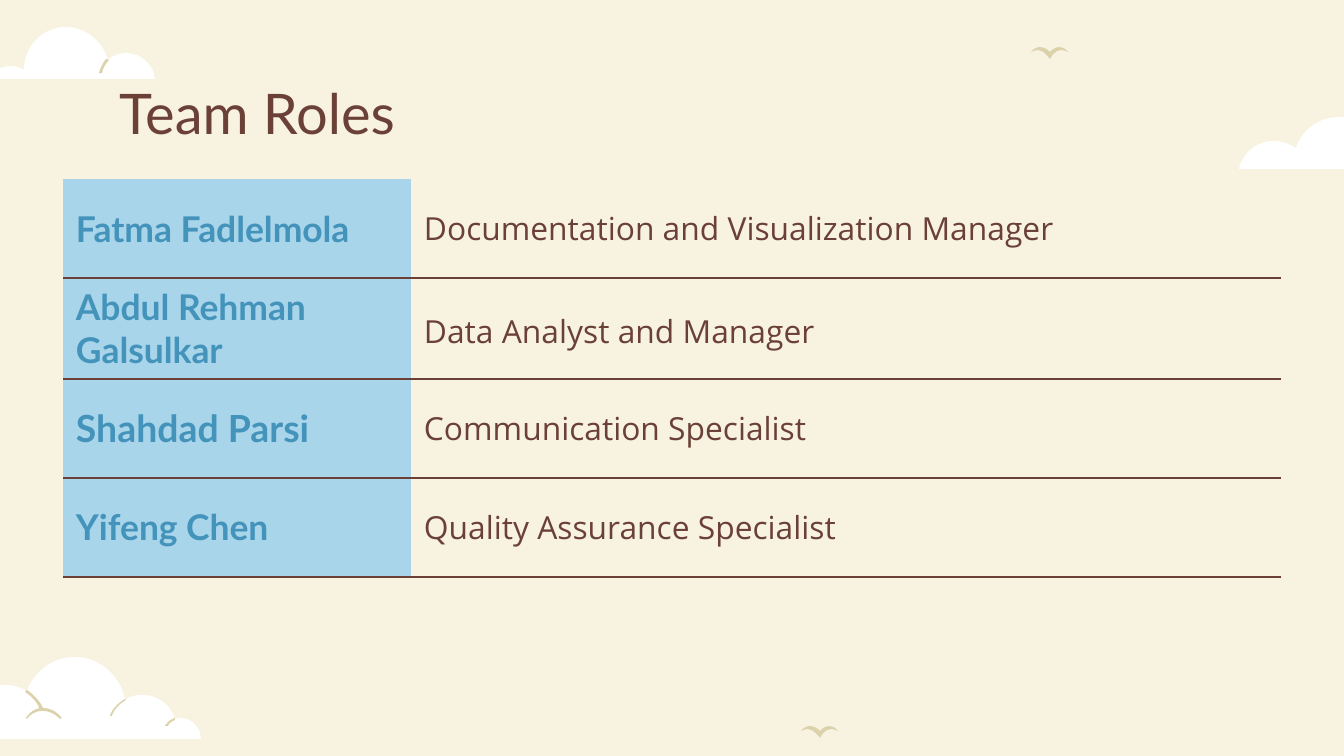
from lxml.etree import SubElement
from pptx import Presentation
from pptx.dml.color import RGBColor
from pptx.enum.text import MSO_ANCHOR, PP_ALIGN
from pptx.oxml.ns import qn
from pptx.util import Pt

PX = 914400 / 134.4
WIDTH, HEIGHT = 1344, 756

CREAM = RGBColor(0xF8, 0xF3, 0xE1)
WHITE = RGBColor(0xFF, 0xFF, 0xFF)
SAND = RGBColor(0xDB, 0xD2, 0xAC)
BROWN = RGBColor(0x6B, 0x40, 0x36)
SKY = RGBColor(0xA9, 0xD5, 0xEB)
BLUE = RGBColor(0x43, 0x93, 0xBA)

TITLE = "Team Roles"
# name, name size, role, role line spacing, space after, row height
ROLES = [
    ("Fatma Fadlelmola", 19, "Documentation and Visualization Manager", 1, 16, 99),
    ("Abdul Rehman Galsulkar", 19, "Data Analyst and Manager", 1.15, 12, 101),
    ("Shahdad Parsi", 20, "Communication Specialist", 1, 16, 99),
    ("Yifeng Chen", 19, "Quality Assurance Specialist", 1, 16, 99),
]
TABLE_LEFT, TABLE_TOP = 63, 179
COLUMNS = (348, 870)

# Outlines in px: a start point, then lines (x, y) and cubic curves (six numbers)
BIRD = [(9, 0), (7, 0, 3, 1, 0, 5), (3, 4, 4, 3, 7, 3), (13, 3, 19, 12, 19, 12),
        (19, 12, 23, 3, 30, 3), (32, 3, 35, 4, 37, 5), (34, 1, 31, 0, 28, 0),
        (23, 0, 19, 5, 19, 5), (19, 5, 15, 0, 9, 0)]
BIRD_PLACES = [(1031, 47), (801, 726)]
CLOUDS = [
    # top left
    [(66, 27), (43, 27, 24, 46, 24, 69), (24, 70), (20, 67, 16, 66, 11, 66),
     (1, 66, -7, 71, -11, 79), (155, 79), (154, 65, 141, 53, 126, 53),
     (120, 53, 113, 55, 108, 60), (103, 42, 86, 27, 66, 27)],
    # bottom left
    [(75, 657), (52, 657, 34, 672, 27, 691), (20, 687, 13, 685, 5, 685),
     (-13, 685, -30, 700, -32, 719), (-35, 719), (-47, 719, -56, 727, -56, 739),
     (201, 739), (200, 727, 192, 718, 180, 718), (179, 718, 176, 719, 175, 719),
     (171, 706, 159, 695, 142, 695), (136, 695, 130, 696, 125, 700),
     (121, 676, 99, 657, 75, 657)],
    # right
    [(1340, 117), (1318, 117, 1302, 130, 1296, 148), (1289, 144, 1282, 141, 1274, 141),
     (1257, 141, 1242, 153, 1239, 169), (1386, 169), (1387, 168, 1387, 165, 1387, 164),
     (1386, 138, 1365, 117, 1340, 117)],
]
CREASES = [
    [(106, 59), (106, 59, 101, 65, 99, 73), (102, 73), (103, 66, 109, 60, 109, 60)],
    [(27, 690), (25, 692), (25, 692, 37, 699, 40, 710), (43, 708),
     (39, 698, 27, 690, 27, 690)],
    [(125, 699), (113, 706, 110, 715, 110, 716), (112, 716),
     (112, 716, 114, 707, 126, 700)],
    [(175, 718), (168, 720, 165, 726, 165, 726), (168, 726),
     (168, 726, 169, 722, 175, 720)],
    [(43, 708), (35, 708, 30, 712, 26, 718), (27, 719), (31, 714, 36, 711, 42, 711),
     (50, 711, 55, 714, 60, 719), (62, 718), (56, 711, 50, 708, 43, 708)],
]


def px(n):
    return round(n * PX)


def add_outline(s, outline, color, left=0, top=0):
    points = [(px(seg[i] + left), px(seg[i + 1] + top))
              for seg in outline for i in range(0, len(seg), 2)]
    builder = s.shapes.build_freeform(*points[0])
    builder.add_line_segments(points[1:], close=False)
    sp = builder.convert_to_shape()

    # Merge the three points of each curve into one cubic segment
    path = next(sp._element.iter(qn("a:path")))
    lines = iter(path.findall(qn("a:lnTo")))
    for seg in outline[1:]:
        line = next(lines)
        if len(seg) == 6:
            line.addprevious(curve := line.makeelement(qn("a:cubicBezTo")))
            for part in (line, next(lines), next(lines)):
                curve.append(part[0])
                path.remove(part)
    SubElement(path, qn("a:close"))

    sp.shadow.inherit = False
    sp.fill.solid()
    sp.fill.fore_color.rgb = color
    sp.line.fill.background()


def style_font(p, name, size, color, bold=False):
    font = p.runs[0].font
    font.name, font.size, font.bold = name, Pt(size), bold
    font.color.rgb = color


def set_borders(cell, ruled):
    """Draw the sides in ruled and clear the others."""
    tcPr = cell._tc.get_or_add_tcPr()
    for i, side in enumerate("LRTB"):
        ln = SubElement(tcPr, qn(f"a:ln{side}"))
        if side in ruled:
            ln.set("w", str(Pt(1.5)))
            fill = SubElement(ln, qn("a:solidFill"))
            SubElement(fill, qn("a:srgbClr")).set("val", str(BROWN))
        else:
            SubElement(ln, qn("a:noFill"))
        tcPr.insert(i, ln)


def fill_cell(cell, text, name, size, color, bold=False):
    cell.text_frame.text = text
    cell.vertical_anchor = MSO_ANCHOR.MIDDLE
    cell.margin_left = cell.margin_right = px(13)
    cell.margin_top = cell.margin_bottom = 0
    p = cell.text_frame.paragraphs[0]
    style_font(p, name, size, color, bold)
    return p


prs = Presentation()
prs.slide_width, prs.slide_height = px(WIDTH), px(HEIGHT)
s = prs.slides.add_slide(prs.slide_layouts[5])
s.background.fill.solid()
s.background.fill.fore_color.rgb = CREAM

# Sky
for cloud in CLOUDS:
    add_outline(s, cloud, WHITE)
for crease in CREASES:
    add_outline(s, crease, SAND)
for left, top in BIRD_PLACES:
    add_outline(s, BIRD, SAND, left, top)

# Title
title = s.shapes.title
title.left, title.top, title.width, title.height = px(106), px(66), px(1133), px(85)
tf = title.text_frame
tf.text = TITLE
tf.vertical_anchor = MSO_ANCHOR.TOP
tf.margin_left = tf.margin_right = tf.margin_top = tf.margin_bottom = px(13)
tf.paragraphs[0].alignment = PP_ALIGN.LEFT
style_font(tf.paragraphs[0], "Lato", 30, BROWN)

# Roles table
table = s.shapes.add_table(
    len(ROLES), len(COLUMNS), px(TABLE_LEFT), px(TABLE_TOP),
    px(sum(COLUMNS)), px(sum(row[-1] for row in ROLES))).table
table.first_row = table.horz_banding = False
for column, width in zip(table.columns, COLUMNS):
    column.width = px(width)
for i, (name, size, role, spacing, after, height) in enumerate(ROLES):
    table.rows[i].height = px(height)
    name_cell, role_cell = table.cell(i, 0), table.cell(i, 1)
    fill_cell(name_cell, name, "Lato", size, BLUE, bold=True)
    name_cell.fill.solid()
    name_cell.fill.fore_color.rgb = SKY
    p = fill_cell(role_cell, role, "Open Sans", 17, BROWN)
    p.line_spacing, p.space_after = spacing, Pt(after)
    role_cell.fill.background()
    for cell in (name_cell, role_cell):
        set_borders(cell, "TB" if i else "B")

prs.save("out.pptx")
